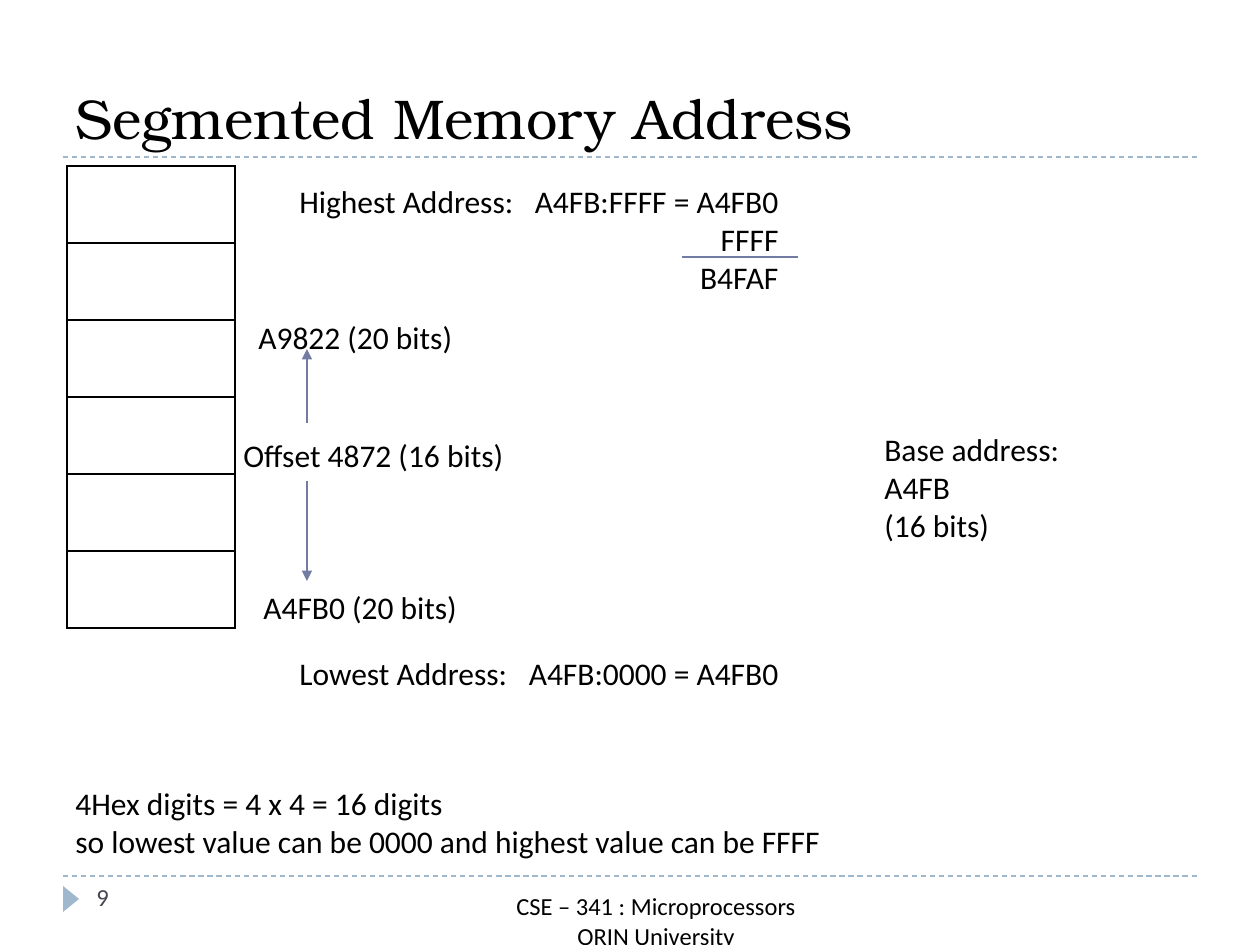
import dataclasses

import lxml.etree
import pptx
import pptx.dml.color
import pptx.enum.dml
import pptx.enum.shapes
import pptx.enum.text
import pptx.oxml
import pptx.oxml.ns
import pptx.util

ALIGN = pptx.enum.text.PP_ALIGN
ANCHOR = pptx.enum.text.MSO_ANCHOR


@dataclasses.dataclass(frozen=True)
class Theme:
    """Colours, fonts and type sizes of the slide."""
    ink: str = "000000"
    muted: str = "464653"
    accent: str = "727CA3"
    rule: str = "9FB8CD"
    title_font: str = "TeX Gyre Bonum"
    body_font: str = "Calibri"
    title_size: int = 32
    body_size: int = 18
    footer_size: int = 14
    thin: float = 0.75
    border: float = 1


class SlideBuilder:
    """Draws styled elements on one slide, with lengths in pixels."""

    def __init__(self, slide, theme):
        self.slide = slide
        self.theme = theme

    def emu(self, *pixels):
        return [pptx.util.Emu(round(pixel * 914400 / 126)) for pixel in pixels]

    def colour(self, value):
        return pptx.dml.color.RGBColor.from_string(value)

    def fill_text(self, shape, text, font, size, colour, align):
        frame = shape.text_frame
        frame.word_wrap = True
        frame.text = text
        for paragraph in frame.paragraphs:
            paragraph.alignment = align
            for run in paragraph.runs:
                run.font.name = font
                run.font.size = pptx.util.Pt(size)
                run.font.color.rgb = self.colour(colour)

    def title(self, text, box):
        shape = self.slide.shapes.title
        shape.left, shape.top, shape.width, shape.height = self.emu(*box)
        self.fill_text(shape, text, self.theme.title_font, self.theme.title_size,
                       self.theme.ink, ALIGN.LEFT)
        shape.text_frame.vertical_anchor = ANCHOR.BOTTOM

    def text(self, text, box, size=None, colour=None, align=ALIGN.LEFT):
        shape = self.slide.shapes.add_textbox(*self.emu(*box))
        self.fill_text(shape, text, self.theme.body_font,
                       size or self.theme.body_size,
                       colour or self.theme.ink, align)

    def line(self, start, end, colour, dashed=False, arrow=False):
        connector = self.slide.shapes.add_connector(
            pptx.enum.shapes.MSO_CONNECTOR.STRAIGHT, *self.emu(*start, *end))
        connector.line.color.rgb = self.colour(colour)
        connector.line.width = pptx.util.Pt(self.theme.thin)
        if dashed:
            connector.line.dash_style = pptx.enum.dml.MSO_LINE.DASH
        properties = connector._element.spPr
        if arrow:
            lxml.etree.SubElement(properties.find(pptx.oxml.ns.qn("a:ln")),
                                  pptx.oxml.ns.qn("a:tailEnd"), type="triangle")
        lxml.etree.SubElement(properties, pptx.oxml.ns.qn("a:effectLst"))

    def marker(self, box):
        shape = self.slide.shapes.add_shape(
            pptx.enum.shapes.MSO_SHAPE.ISOSCELES_TRIANGLE, *self.emu(*box))
        shape.rotation = 90
        shape.shadow.inherit = False
        shape.fill.solid()
        shape.fill.fore_color.rgb = self.colour(self.theme.rule)
        shape.line.fill.background()

    def border(self, cell):
        for side in ("lnL", "lnR", "lnT", "lnB"):
            cell._tc.get_or_add_tcPr().append(pptx.oxml.parse_xml(
                f'<a:{side} {pptx.oxml.ns.nsdecls("a")} '
                f'w="{pptx.util.Pt(self.theme.border)}"><a:solidFill>'
                f'<a:srgbClr val="{self.theme.ink}"/></a:solidFill></a:{side}>'))

    def memory(self, rows, box):
        table = self.slide.shapes.add_table(rows, 1, *self.emu(*box)).table
        table.first_row = False
        table.horz_banding = False
        for cell in table.iter_cells():
            self.border(cell)
            cell.fill.background()


def main():
    """Build the segmented memory slide."""
    presentation = pptx.Presentation()
    presentation.slide_width = pptx.util.Inches(10)
    presentation.slide_height = pptx.util.Inches(7.5)
    theme = Theme()
    builder = SlideBuilder(
        presentation.slides.add_slide(presentation.slide_layouts[5]), theme)

    for top in (876, 157):
        builder.line((63, top), (1197, top), theme.rule, dashed=True)
    builder.marker((58, 891, 26, 16))
    builder.title("Segmented Memory Address", (63, 21, 1134, 136))
    builder.text("9", (84, 876, 273, 50), theme.footer_size, theme.muted)
    builder.text("CSE – 341 : Microprocessors\nORIN University",
                 (231, 885, 850, 50), theme.footer_size, align=ALIGN.CENTER)

    builder.memory(6, (67, 166, 168, 462))
    for start, end in ((481, 581), (423, 349)):
        builder.line((307, start), (307, end), theme.accent, arrow=True)
    builder.line((682, 257), (798, 257), theme.accent)

    for label, value, top, height in (
            ("Highest Address:", "A4FB:FFFF = A4FB0\nFFFF\nB4FAF", 176, 127),
            ("Lowest Address:", "A4FB:0000 = A4FB0", 648, 50)):
        builder.text(label, (287, top, 240, 50))
        builder.text(value, (511, top, 280, height), align=ALIGN.RIGHT)

    for text, box in (
            ("A9822 (20 bits)", (246, 312, 258, 50)),
            ("Offset 4872 (16 bits)", (231, 430, 294, 50)),
            ("A4FB0 (20 bits)", (251, 582, 227, 50)),
            ("Base address:\nA4FB\n(16 bits)", (872, 424, 278, 127)),
            ("4Hex digits = 4 x 4 = 16 digits\n"
             "so lowest value can be 0000 and highest value can be FFFF",
             (63, 778, 790, 89))):
        builder.text(text, box)

    presentation.save("out.pptx")


main()
